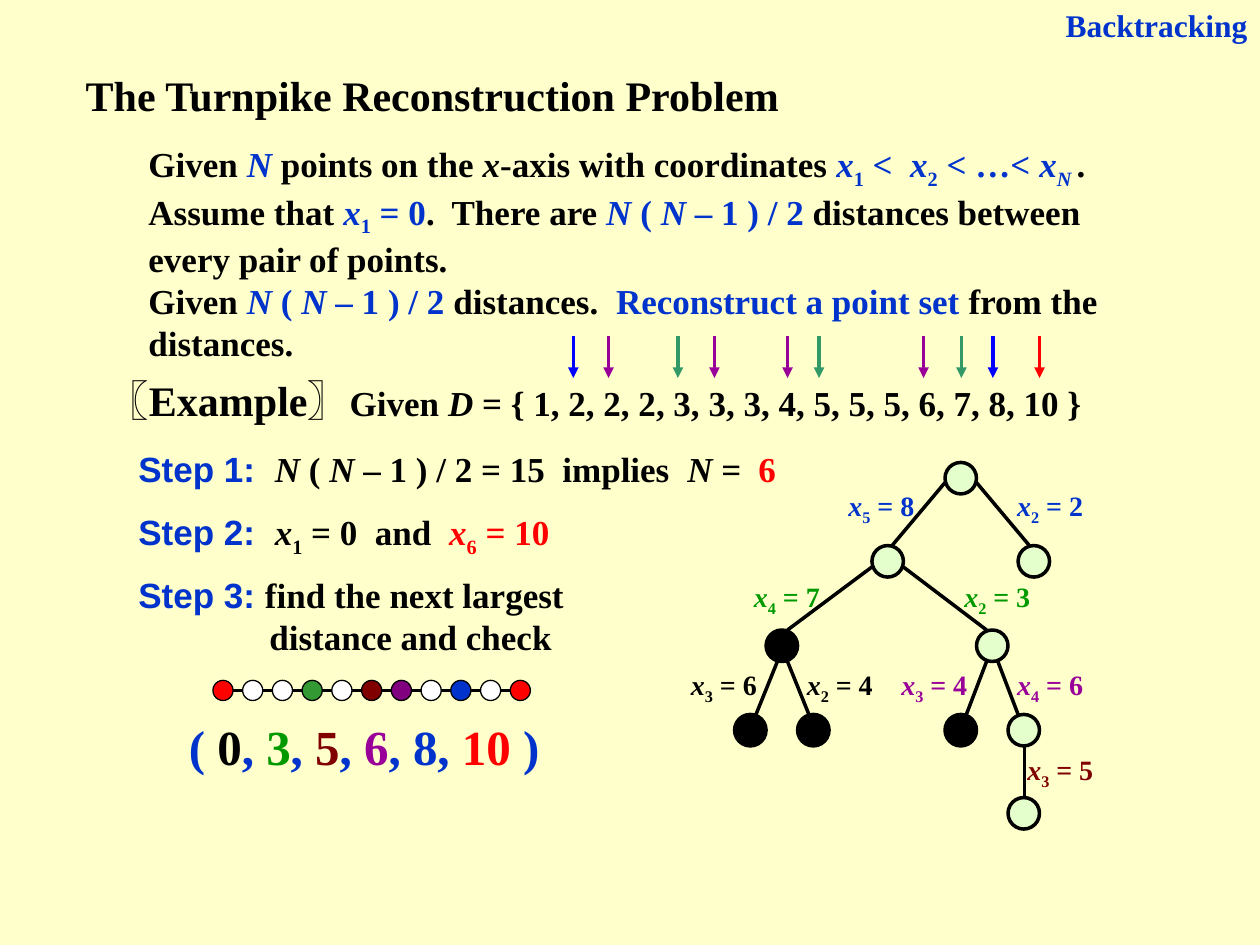
from lxml.etree import SubElement
from pptx import Presentation
from pptx.dml.color import RGBColor
from pptx.enum.shapes import MSO_CONNECTOR, MSO_SHAPE
from pptx.enum.text import MSO_ANCHOR, MSO_AUTO_SIZE, PP_ALIGN
from pptx.oxml.ns import qn
from pptx.util import Inches, Pt

BLACK, BLUE, RED = "000000", "0033CC", "FF0000"
GREEN, PURPLE, MAROON = "009900", "990099", "800000"
WHITE, PALE_GREEN = "FFFFFF", "CCFFCC"
SERIF, SANS = "Times New Roman", "Arial"
NODE, DOT = 0.25, 0.16


def colour(value):
    return RGBColor.from_string(value)


def variable(index, rest, ink):
    """Spans for x with a subscript, then the rest of the expression."""
    return [("x", ink, "i"), (index, ink, "s"), (rest, ink)]


def pair_count(ink, tail=""):
    """Spans for N ( N – 1 ) / 2."""
    return [("N", ink, "i"), (" ( ", ink), ("N", ink, "i"),
            (" – 1 ) / 2" + tail, ink)]


class SlideBuilder:
    def __init__(self, page):
        self.page = page

    def fill_text(self, box, spans, size, align=PP_ALIGN.LEFT):
        """Span: text, colour, flags (i italic, s subscript, a sans), size."""
        frame = box.text_frame
        frame.word_wrap = True
        frame.auto_size = MSO_AUTO_SIZE.SHAPE_TO_FIT_TEXT
        frame.vertical_anchor = MSO_ANCHOR.TOP
        para = frame.paragraphs[0]
        para.alignment = align
        for text, ink, *extra in spans:
            flags = extra[0] if extra else ""
            span = para.add_run()
            span.text = text
            font = span.font
            font.name = SANS if "a" in flags else SERIF
            font.size = Pt(extra[1] if len(extra) > 1 else size)
            font.bold = True
            font.italic = "i" in flags
            font.color.rgb = colour(ink)
            if "s" in flags:
                span._r.get_or_add_rPr().set("baseline", "-25000")
        return para

    def title(self, left, top, width, height, spans, size):
        box = self.page.shapes.title
        box.left, box.top = Inches(left), Inches(top)
        box.width, box.height = Inches(width), Inches(height)
        self.fill_text(box, spans, size)

    def text(self, left, top, width, height, spans, size=20,
             align=PP_ALIGN.LEFT):
        box = self.page.shapes.add_textbox(
            Inches(left), Inches(top), Inches(width), Inches(height))
        return self.fill_text(box, spans, size, align)

    def circle(self, left, top, size, fill, weight, opacity=None):
        shape = self.page.shapes.add_shape(
            MSO_SHAPE.OVAL, Inches(left), Inches(top),
            Inches(size), Inches(size))
        shape.shadow.inherit = False
        shape.fill.solid()
        shape.fill.fore_color.rgb = colour(fill)
        shape.line.color.rgb = colour(BLACK)
        shape.line.width = Pt(weight)
        if opacity:
            tint = shape._element.spPr.find(qn("a:solidFill"))[0]
            SubElement(tint, qn("a:alpha"), val=str(opacity * 1000))

    def line(self, x1, y1, x2, y2, ink=BLACK, arrow=False):
        link = self.page.shapes.add_connector(
            MSO_CONNECTOR.STRAIGHT,
            Inches(x1), Inches(y1), Inches(x2), Inches(y2))
        link.line.color.rgb = colour(ink)
        link.line.width = Pt(2)
        properties = link._element.spPr
        if arrow:
            SubElement(properties.find(qn("a:ln")), qn("a:tailEnd"),
                       type="triangle")
        SubElement(properties, qn("a:effectLst"))


def add_statement(slide):
    slide.title(0.58, 0.5, 6.42, 0.5,
                [("The Turnpike Reconstruction Problem", BLACK)], 24)
    slide.text(7.84, 0, 2.16, 0.4, [("Backtracking", BLUE)], 18,
               PP_ALIGN.RIGHT)
    slide.text(1.08, 1.08, 8.17, 1.19, [
        ("Given ", BLACK), ("N", BLUE, "i"), (" points on the ", BLACK),
        ("x", BLACK, "i"), ("-axis with coordinates ", BLACK),
        *variable("1", " <  ", BLUE), *variable("2", " < …< ", BLUE),
        ("x", BLUE, "i"), ("N ", BLUE, "is"), (".  Assume that ", BLACK),
        *variable("1", " = 0", BLUE), (".  There are ", BLACK),
        *pair_count(BLUE),
        (" distances between every pair of points.", BLACK)])
    slide.text(1.08, 2.17, 8.17, 0.77, [
        ("Given ", BLACK), *pair_count(BLUE), (" distances.  ", BLACK),
        ("Reconstruct a point set", BLUE), (" from the distances.", BLACK)])


def add_example(slide):
    slide.text(0.75, 2.92, 8.25, 0.5, [
        ("〖Example〗", BLACK, "", 24), ("Given ", BLACK), ("D", BLACK, "i"),
        (" = { 1, 2, 2, 2, 3, 3, 3, 4, 5, 5, 5, 6, 7, 8, 10 }", BLACK)])
    # Arrows over the distances used up at each stage
    used = {RED: [8.25], "0000FF": [7.88, 4.55],
            "339966": [7.63, 5.38, 6.5], PURPLE: [7.33, 6.25, 5.67, 4.83]}
    for ink, places in used.items():
        for x in places:
            slide.line(x, 2.67, x, 3, ink, arrow=True)


def add_steps(slide):
    slide.text(1, 3.5, 5.5, 0.44, [
        ("Step 1:  ", BLUE, "a"), *pair_count(BLACK, " = 15  implies  "),
        ("N", BLACK, "i"), (" =", BLACK)])
    slide.text(5.92, 3.5, 0.34, 0.44, [("6", RED)])
    slide.text(1, 4, 3.83, 0.48, [
        ("Step 2:  ", BLUE, "a"), *variable("1", " = 0  and  ", BLACK),
        *variable("6", " = 10", RED)])
    para = slide.text(1, 4.5, 3.83, 0.77, [
        ("Step 3: ", BLUE, "a"),
        ("find the next largest distance and check", BLACK)])
    hanging = para._p.get_or_add_pPr()
    hanging.set("marL", str(Inches(1.04)))
    hanging.set("indent", str(-Inches(1.04)))


def add_solution(slide):
    # Points on the axis, one unit apart
    start, end, y = 1.77, 4.13, 5.48
    fills = [RED, WHITE, WHITE, "339933", WHITE, MAROON, "800080",
             WHITE, BLUE, WHITE, RED]
    step = (end - start) / (len(fills) - 1)
    for i in range(len(fills) - 1):
        slide.line(start + i * step, y, start + (i + 1) * step, y)
    for i, fill in enumerate(fills):
        slide.circle(start + i * step - DOT / 2, y - DOT / 2, DOT, fill, 0.75)
    # Coordinates found
    slide.text(1.14, 5.64, 3.5, 0.57, [
        ("( ", BLUE), ("0", BLACK), (", ", BLUE), ("3", GREEN), (", ", BLUE),
        ("5", MAROON), (", ", BLUE), ("6", PURPLE), (", 8, ", BLUE),
        ("10", RED), (" )", BLUE)], 28, PP_ALIGN.CENTER)


def add_tree(slide):
    # Branch: start, end, label corner, index, value, label colour
    branches = [
        (7.5, 3.83, 7.08, 4.33, 6.58, 3.83, "5", 8, BLUE),
        (7.75, 3.83, 8.17, 4.33, 7.92, 3.83, "2", 2, BLUE),
        (6.92, 4.5, 6.25, 5, 5.83, 4.55, "4", 7, GREEN),
        (7.17, 4.5, 7.83, 5, 7.5, 4.55, "2", 3, GREEN),
        (6.17, 5.25, 6, 5.67, 5.33, 5.25, "3", 6, BLACK),
        (6.25, 5.25, 6.42, 5.67, 6.25, 5.25, "2", 4, BLACK),
        (7.83, 5.25, 7.67, 5.67, 7, 5.25, "3", 4, PURPLE),
        (7.92, 5.25, 8.08, 5.67, 7.92, 5.25, "4", 6, PURPLE),
        (8.13, 5.92, 8.13, 6.33, 8, 5.92, "3", 5, MAROON)]
    for x1, y1, x2, y2, left, top, index, value, ink in branches:
        slide.line(x1, y1, x2, y2)
        slide.text(left, top, 0.83, 0.41,
                   variable(index, f" = {value}", ink), 16, PP_ALIGN.CENTER)
    # Open nodes are pale, dead ends are black
    for left, top in [(7.5, 3.67), (6.92, 4.33), (8.08, 4.33), (7.75, 5),
                      (8, 5.67), (8, 6.33)]:
        slide.circle(left, top, NODE, PALE_GREEN, 2, opacity=50)
    for left, top in [(6.08, 5), (5.83, 5.67), (6.33, 5.67), (7.5, 5.67)]:
        slide.circle(left, top, NODE, BLACK, 2)


def main():
    deck = Presentation()
    deck.slide_width, deck.slide_height = Inches(10), Inches(7.5)
    page = deck.slides.add_slide(deck.slide_layouts[5])
    page.background.fill.solid()
    page.background.fill.fore_color.rgb = colour("FFFFCC")
    slide = SlideBuilder(page)
    add_statement(slide)
    add_example(slide)
    add_steps(slide)
    add_solution(slide)
    add_tree(slide)
    deck.save("out.pptx")


if __name__ == "__main__":
    main()
